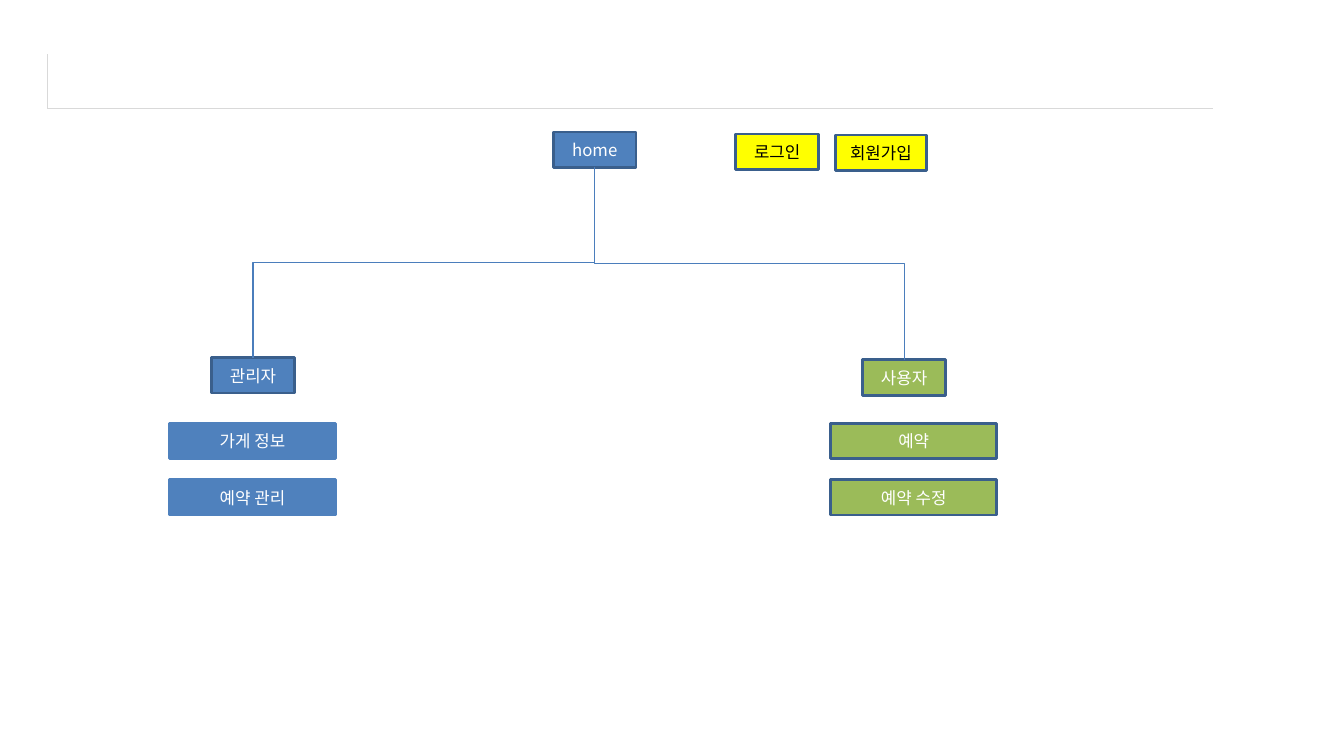
from dataclasses import dataclass

from lxml import etree
from pptx import Presentation
from pptx import util as u
from pptx.dml.color import RGBColor
from pptx.enum import shapes, text
from pptx.oxml import ns

Pt = u.Pt


@dataclass(frozen=True)
class Theme:
    font: str = "Noto Sans CJK KR"
    size: float = 12
    blue: str = "4F81BD"
    green: str = "9BBB59"
    yellow: str = "FFFF00"
    edge: str = "3A5F8C"
    link: str = "4B7EBC"
    rule: str = "D9D9D9"
    white: str = "FFFFFF"
    black: str = "000000"


def rgb(code):
    return RGBColor.from_string(code)


def write(frame, words, font, size, color):
    """Put one centred line of text in a frame."""
    frame.word_wrap = True
    frame.vertical_anchor = text.MSO_ANCHOR.MIDDLE
    para = frame.paragraphs[0]
    para.alignment = text.PP_ALIGN.CENTER
    run = para.add_run()
    run.text = words
    run.font.name, run.font.size = font, Pt(size)
    run.font.color.rgb = rgb(color)
    east = etree.SubElement(run.font._element, ns.qn("a:ea"))
    east.set("typeface", font)


class Board:
    def __init__(self, slide, theme):
        self.slide, self.theme = slide, theme

    def box(self, words, x, y, fill, wide=59.04, edge=None, ink=None):
        t = self.theme
        item = self.slide.shapes.add_shape(
            shapes.MSO_SHAPE.RECTANGLE, Pt(x), Pt(y), Pt(wide), Pt(25.2))
        item.shadow.inherit = False
        item.fill.solid()
        item.fill.fore_color.rgb = rgb(fill)
        item.line.color.rgb = rgb(edge or t.edge)
        item.line.width = Pt(2)
        write(item.text_frame, words, font=t.font, size=t.size,
              color=ink or t.white)
        return item

    def link(self, top, low):
        """Join the bottom of one box to the top of another, down first."""
        line = self.slide.shapes.add_connector(
            shapes.MSO_CONNECTOR.ELBOW, 0, 0, 0, 0)
        line.begin_connect(top, 2)
        line.end_connect(low, 0)
        right = line.end_x > line.begin_x
        # Turn the elbow by a quarter around its centre
        x, y, w, h = line.left, line.top, line.width, line.height
        line.left, line.top = x + (w - h) // 2, y + (h - w) // 2
        line.width, line.height = h, w
        props = line._element.spPr
        form = props.find(ns.qn("a:xfrm"))
        form.set("rot", str((270 if right else 90) * 60000))
        form.set("flipH", "1" if right else "0")
        line.line.color.rgb = rgb(self.theme.link)
        line.line.width = Pt(0.75)
        etree.SubElement(props, ns.qn("a:effectLst"))

    def head(self, x, y, wide, high):
        """Empty title table, ruled on the left and below."""
        grid = self.slide.shapes.add_table(
            1, 1, Pt(x), Pt(y), Pt(wide), Pt(high)).table
        grid.first_row = grid.horz_banding = False
        cell = grid.cell(0, 0)
        props = cell._tc.get_or_add_tcPr()
        for side in ("L", "R", "T", "B"):
            rule = etree.SubElement(props, ns.qn("a:ln" + side), w=str(Pt(0.25)))
            if side in "LB":
                fill = etree.SubElement(rule, ns.qn("a:solidFill"))
                etree.SubElement(fill, ns.qn("a:srgbClr"), val=self.theme.rule)
            else:
                etree.SubElement(rule, ns.qn("a:noFill"))
        cell.fill.background()


deck = Presentation()
deck.slide_width, deck.slide_height = Pt(960), Pt(540)
look = Theme()
board = Board(deck.slides.add_slide(deck.slide_layouts[6]), look)

# Title area
board.head(33.84, 38.88, 832.32, 38.16)

# Home page and account buttons
home = board.box("home", 395.28, 94.32, look.blue)
board.box("로그인", 525.6, 95.76, look.yellow, ink=look.black)
board.box("회원가입", 596.88, 96.48, look.yellow, wide=64.8, ink=look.black)

# Branches: role, its place, left of its pages, colours, pages
roles = [
    ("관리자", 151.2, 255.6, 120.96, look.blue, look.blue, ["가게 정보", "예약 관리"]),
    ("사용자", 616.32, 257.04, 593.28, look.green, look.edge, ["예약", "예약 수정"]),
]
for name, x, y, left, fill, edge, pages in roles:
    role = board.box(name, x, y, fill)
    board.link(home, role)
    for row, page in enumerate(pages):
        board.box(page, left, 302.4 + row * 40.32, fill, wide=118.8, edge=edge)

deck.save("out.pptx")
